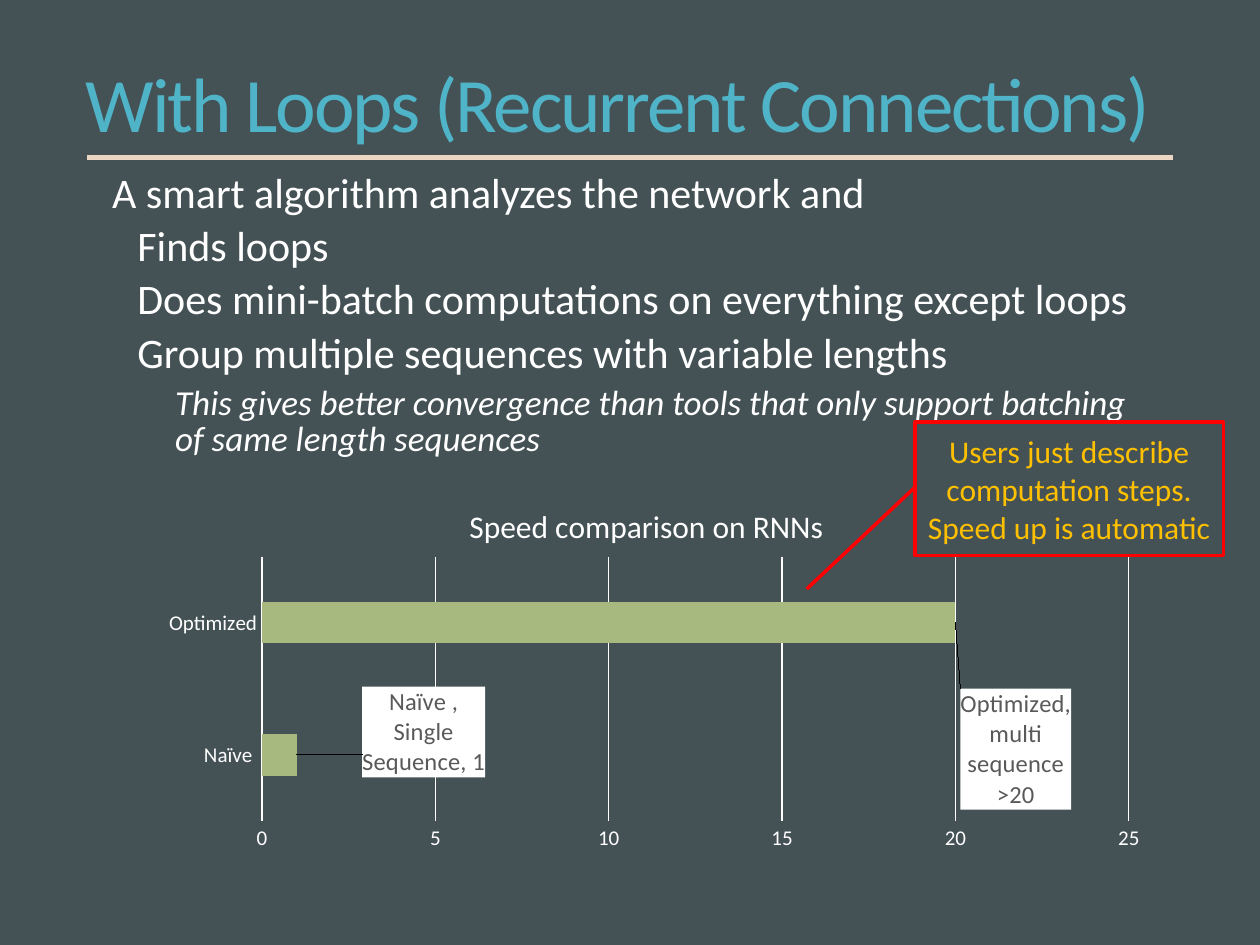
from lxml.etree import SubElement
from pptx import Presentation
from pptx.chart.data import CategoryChartData
from pptx.dml.color import RGBColor
from pptx.enum.chart import XL_CHART_TYPE, XL_LABEL_POSITION, XL_TICK_MARK
from pptx.enum.shapes import MSO_CONNECTOR, MSO_SHAPE
from pptx.enum.text import MSO_ANCHOR, MSO_AUTO_SIZE, PP_ALIGN
from pptx.oxml import parse_xml
from pptx.oxml.ns import nsdecls, qn
from pptx.util import Inches, Pt

SLATE = RGBColor(0x44, 0x52, 0x56)
TEAL = RGBColor(0x50, 0xB4, 0xC8)
SAND = RGBColor(0xEC, 0xD5, 0xC2)
WHITE = RGBColor(0xFF, 0xFF, 0xFF)
GREEN = RGBColor(0xA8, 0xB9, 0x7F)
GRAY = RGBColor(0x59, 0x59, 0x59)
RED = RGBColor(0xFF, 0x00, 0x00)
GOLD = RGBColor(0xFF, 0xC0, 0x00)

# Grid of 100 columns by 75 rows
WIDE, HIGH = Inches(10), Inches(7.5)
COL, ROW = WIDE / 100, HIGH / 75

# Level: left margin, indent, space before, size, italic
LEVELS = {
    0: (0.1, -0.1, 0, 24, False),
    1: (0.3, -0.38, 6, 24, False),
    2: (0.6, -0.6, 6, 20, True),
}
POINTS = [
    (0, "A smart algorithm analyzes the network and"),
    (1, "Finds loops"),
    (1, "Does mini-batch computations on everything except loops"),
    (1, "Group multiple sequences with variable lengths"),
    (2, "This gives better convergence than tools that only support "
        "batching of same length sequences"),
]
# Label text, then its shift and size as shares of the chart
LABELS = [
    ("Naïve , Single Sequence, 1", (0.06, -0.06), (0.12, 0.24)),
    ("Optimized, multi sequence >20", (0, 0.33), (0.11, 0.32)),
]


def scale(box):
    """Turn grid cells into lengths."""
    return [round(n * unit) for n, unit in zip(box, (COL, ROW, COL, ROW))]


def assign(item, values):
    for name, value in values.items():
        setattr(item, name, value)


def style(font, size, color, **more):
    assign(font, {"name": "Calibri", "size": Pt(size), "bold": False, **more})
    font.color.rgb = color


def place(shape, box):
    names = ("left", "top", "width", "height")
    assign(shape, dict(zip(names, scale(box))))


def stroke(line, color, width):
    line.color.rgb = color
    line.width = Pt(width)


def lay_out(parent, index, **values):
    """Give a chart part a manual layout."""
    for old in parent.findall(qn("c:layout")):
        parent.remove(old)
    node = parse_xml(f"<c:layout {nsdecls('c')}><c:manualLayout/></c:layout>")
    for name, value in values.items():
        SubElement(node[0], qn(f"c:{name}")).set("val", str(value))
    parent.insert(index, node)


def add_title(slide, box):
    title = slide.shapes.title
    place(title, box)
    frame = title.text_frame
    frame.text = "With Loops (Recurrent Connections)"
    assign(frame, {"vertical_anchor": MSO_ANCHOR.MIDDLE,
                   "auto_size": MSO_AUTO_SIZE.NONE, "word_wrap": True})
    para = frame.paragraphs[0]
    assign(para, {"alignment": PP_ALIGN.LEFT, "line_spacing": 0.9})
    run = para.runs[0]
    style(run.font, 44, TEAL)
    run.font._element.set("spc", "-120")


def add_rule(slide, box):
    left, top, width, _ = scale(box)
    rule = slide.shapes.add_connector(
        MSO_CONNECTOR.STRAIGHT, left, top, left + width, top)
    stroke(rule.line, SAND, 3)
    SubElement(rule._element.spPr, qn("a:effectLst"))


def add_body(slide, box):
    body = slide.placeholders[1]
    place(body, box)
    frame = body.text_frame
    assign(frame, {"vertical_anchor": MSO_ANCHOR.TOP,
                   "auto_size": MSO_AUTO_SIZE.NONE, "word_wrap": True})
    for i, (level, text) in enumerate(POINTS):
        para = frame.add_paragraph() if i else frame.paragraphs[0]
        margin, indent, before, size, slant = LEVELS[level]
        props = para._p.get_or_add_pPr()
        props.set("marL", str(Inches(margin)))
        props.set("indent", str(Inches(indent)))
        SubElement(props, qn("a:buChar")).set("char", " ")
        assign(para, {"level": level, "line_spacing": 0.85,
                      "space_before": Pt(before), "space_after": Pt(0)})
        run = para.add_run()
        run.text = text
        style(run.font, size, WHITE, italic=slant)


def add_label(series, index, text, shift, size):
    label = series.points[index].data_label
    frame = label.text_frame
    frame.text = text
    style(frame.paragraphs[0].runs[0].font, 14, GRAY)
    label.position = XL_LABEL_POSITION.OUTSIDE_END
    node = series._element.findall(".//" + qn("c:dLbl"))[index]
    lay_out(node, 1, x=shift[0], y=shift[1])
    # White box behind the text
    node.find(qn("c:tx")).addnext(parse_xml(
        f"<c:spPr {nsdecls('c', 'a')}><a:solidFill>"
        f'<a:srgbClr val="{WHITE}"/></a:solidFill></c:spPr>'))
    # Width and height at which the text wraps
    node.append(parse_xml(
        f"<c:extLst {nsdecls('c')}>"
        '<c:ext uri="{CE6537A1-D6FC-4f65-9D91-7224C49458BB}" '
        'xmlns:c15="http://schemas.microsoft.com/office/drawing/2012/chart">'
        f'<c15:layout><c:manualLayout><c:w val="{size[0]}"/>'
        f'<c:h val="{size[1]}"/></c:manualLayout></c15:layout>'
        "</c:ext></c:extLst>"))


def add_bars(slide, box):
    data = CategoryChartData()
    data.categories = ["Naïve ", "Optimized"]
    data.add_series("Series 1", (1, 20))
    chart = slide.shapes.add_chart(
        XL_CHART_TYPE.BAR_CLUSTERED, *scale(box), data).chart
    chart.has_legend = False
    style(chart.font, 10, WHITE)

    # Title and plot area
    frame = chart.chart_title.text_frame
    frame.text = "Speed comparison on RNNs"
    style(frame.paragraphs[0].runs[0].font, 18, WHITE)
    lay_out(chart.chart_title._element, 1,
            xMode="edge", yMode="edge", x=0.31, y=0.07)
    lay_out(chart._chartSpace.chart.plotArea, 0, layoutTarget="inner",
            xMode="edge", yMode="edge", x=0.11, y=0.22, w=0.86, h=0.69)

    # Axes
    for axis in (chart.category_axis, chart.value_axis):
        assign(axis, {"major_tick_mark": XL_TICK_MARK.NONE,
                      "minor_tick_mark": XL_TICK_MARK.NONE})
        style(axis.tick_labels.font, 12, WHITE)
    stroke(chart.category_axis.format.line, WHITE, 0.75)
    scaler = chart.value_axis
    assign(scaler, {"minimum_scale": 0, "maximum_scale": 25, "major_unit": 5})
    scaler.format.line.fill.background()
    stroke(scaler.major_gridlines.format.line, WHITE, 0.75)

    # Bars and their labels
    plot = chart.plots[0]
    assign(plot, {"gap_width": 219, "vary_by_categories": False})
    series = plot.series[0]
    series.format.fill.solid()
    series.format.fill.fore_color.rgb = GREEN
    for index, label in enumerate(LABELS):
        add_label(series, index, *label)


def add_callout(slide, box):
    note = slide.shapes.add_shape(MSO_SHAPE.LINE_CALLOUT_1, *scale(box))
    for i, value in enumerate((0.49, 0, 1.25, -0.35)):
        note.adjustments[i] = value
    note.shadow.inherit = False
    note.fill.background()
    stroke(note.line, RED, 2)
    frame = note.text_frame
    frame.text = ("Users just describe computation steps. "
                  "Speed up is automatic")
    assign(frame, {"word_wrap": True, "vertical_anchor": MSO_ANCHOR.MIDDLE,
                   "margin_left": Inches(0.08), "margin_right": Inches(0.08)})
    para = frame.paragraphs[0]
    para.alignment = PP_ALIGN.CENTER
    style(para.runs[0].font, 18, GOLD)


def main():
    deck = Presentation()
    assign(deck, {"slide_width": WIDE, "slide_height": HIGH})
    slide = deck.slides.add_slide(deck.slide_layouts[1])
    slide.background.fill.solid()
    slide.background.fill.fore_color.rgb = SLATE
    add_rule(slide, (6.9, 12.5, 86.2, 0))
    add_title(slide, (5.8, 2.5, 88.4, 12))
    add_body(slide, (6.9, 13.3, 86.2, 27.2))
    add_bars(slide, (12, 37.5, 80, 30.4))
    add_callout(slide, (72.6, 33.5, 24.5, 10.6))
    deck.save("out.pptx")


if __name__ == "__main__":
    main()
